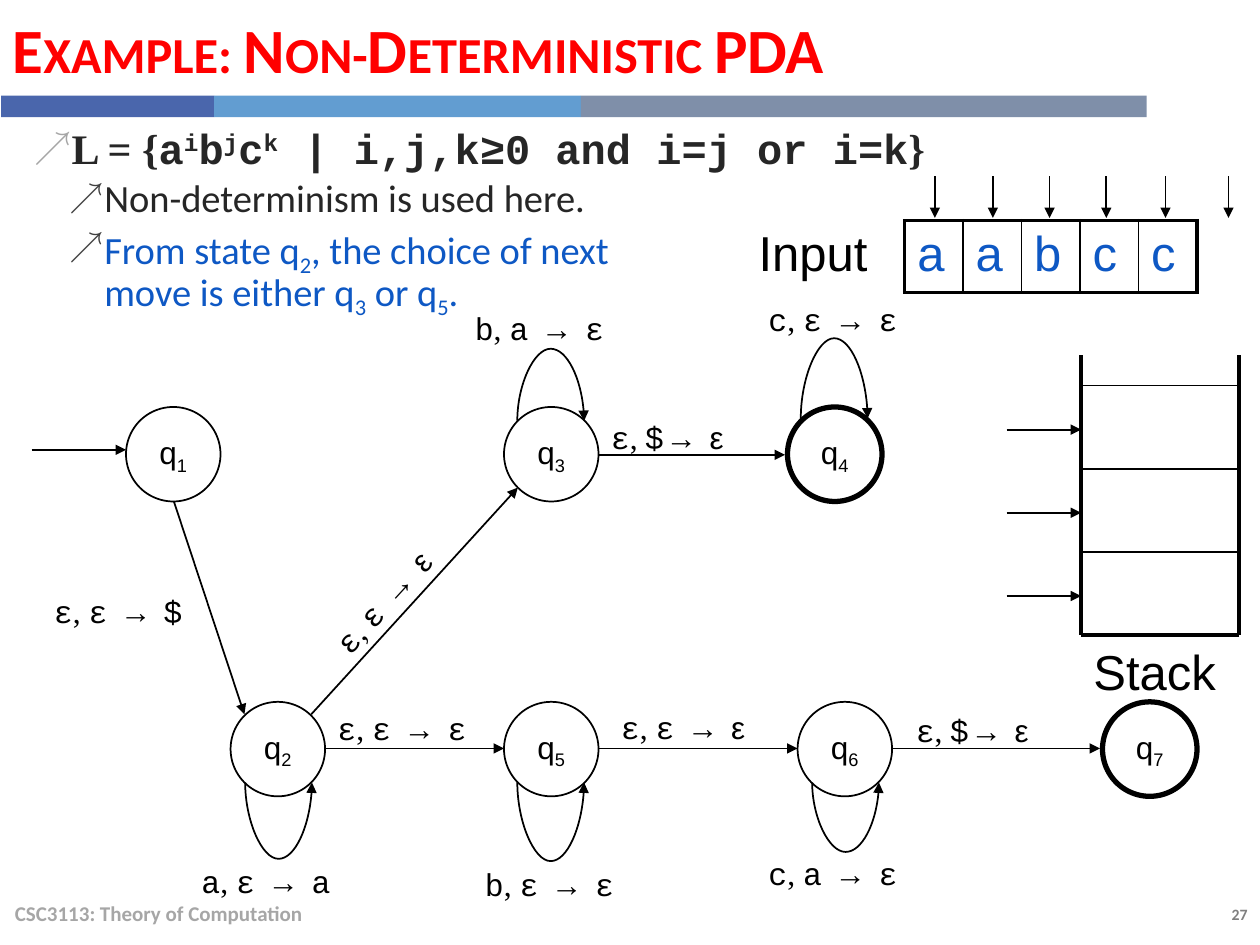
from lxml import etree
from pptx import Presentation
from pptx.dml.color import RGBColor
from pptx.enum.shapes import MSO_CONNECTOR, MSO_SHAPE
from pptx.enum.text import MSO_ANCHOR, PP_ALIGN
from pptx.oxml.ns import qn
from pptx.util import Emu, Inches, Pt

STRAIGHT, CURVE = MSO_CONNECTOR.STRAIGHT, MSO_CONNECTOR.CURVE
RECTANGLE, OVAL = MSO_SHAPE.RECTANGLE, MSO_SHAPE.OVAL
TOP, MIDDLE = MSO_ANCHOR.TOP, MSO_ANCHOR.MIDDLE
LEFT, CENTER, RIGHT = PP_ALIGN.LEFT, PP_ALIGN.CENTER, PP_ALIGN.RIGHT
SANS, SERIF, MONO, BODY = "Arial", "Times New Roman", "Courier New", "Calibri"
COLORS = {
    "ink": "000000", "title": "FF0000", "text": "262626", "accent": "0E58C4",
    "footer": "A6A6A6", "number": "808080", "bullet": "A6A6A6", "sub_bullet": "404040",
    "bar_1": "4A66AC", "bar_2": "629DD1", "bar_3": "7F8FA9",
}
STATE_SIZE = 0.75
STATES = {
    "1": (1, 3.23, 1), "2": (1.83, 5.57, 1), "3": (4, 3.23, 1), "4": (6.25, 3.23, 3),
    "5": (4, 5.57, 1), "6": (6.33, 5.57, 1), "7": (8.75, 5.57, 3),
}
EDGES = [
    (0.25, 3.57, 1, 3.57), (1.38, 3.98, 1.94, 5.67), (2.47, 5.67, 4.11, 3.87),
    (2.58, 5.94, 4, 5.94), (4.75, 5.94, 6.33, 5.94), (7.08, 5.94, 8.73, 5.94),
    (4.75, 3.61, 6.23, 3.61),
]
LOOPS = [
    (4.37, 3.34, -0.63), (6.62, 3.32, -0.7), (2.21, 6.21, 0.67),
    (4.37, 6.21, 0.69), (6.71, 6.21, 0.61),
]
PUSH_DOLLAR = [("ε → ", MONO), ("$", SANS)]
MOVE = [("ε → ", MONO), ("ε", SANS)]
POP_DOLLAR = [("$ ", SANS), ("→ ", MONO), ("ε", SANS)]
LABELS = [
    (0.33, 4.65, 0, "ε", PUSH_DOLLAR), (2.41, 4.49, 312.6, "ε", MOVE),
    (2.58, 5.58, 0, "ε", [("ε → ε", MONO)]), (4.83, 5.57, 0, "ε", MOVE),
    (7.17, 5.59, 0, "ε", POP_DOLLAR), (4.75, 3.27, 0, "ε", POP_DOLLAR),
    (1.5, 6.79, 0, "a", [("ε → a", MONO)]), (3.75, 6.82, 0, "b", [("ε → ε", MONO)]),
    (6, 6.73, 0, "c", [("a → ε", MONO)]), (3.67, 2.4, 0, "b", [("a → ε", MONO)]),
    (6, 2.33, 0, "c", [("ε → ε", MONO)]),
]


def rgb(name):
    """Return the named colour."""
    return RGBColor.from_string(COLORS[name])


def add_span(para, text, font=SANS, size=18, color="ink", bold=False, **attributes):
    """Add a run; extra attributes go on its run properties."""
    span = para.add_run()
    span.text = text
    for key, value in {"name": font, "size": Pt(size), "bold": bold}.items():
        setattr(span.font, key, value)
    span.font.color.rgb = rgb(color)
    for key, value in attributes.items():
        span.font._element.set(key, str(value))


def add_text(page, left, top, width, height, anchor=TOP, align=LEFT):
    """Add a wrapping text box and return it with its first paragraph."""
    box = page.shapes.add_textbox(Inches(left), Inches(top), Inches(width), Inches(height))
    box.text_frame.word_wrap = True
    box.text_frame.vertical_anchor = anchor
    para = box.text_frame.paragraphs[0]
    para.alignment = align
    return box, para


def add_line(page, x1, y1, x2, y2, width=1, arrow=True, kind=STRAIGHT):
    """Add a black connector without shadow."""
    line = page.shapes.add_connector(kind, Inches(x1), Inches(y1), Inches(x2), Inches(y2))
    line.line.color.rgb = rgb("ink")
    line.line.width = Pt(width)
    if arrow:
        etree.SubElement(line.line._get_or_add_ln(), qn("a:tailEnd"), type="triangle")
    etree.SubElement(line._element.spPr, qn("a:effectLst"))
    return line


def add_header(page):
    """Place the title and the three-part bar under it."""
    title = page.shapes.title
    box = {"left": 0, "top": 0, "width": Inches(9.1), "height": Inches(0.76)}
    for key, value in box.items():
        setattr(title, key, value)
    title.text_frame.vertical_anchor = MIDDLE
    para = title.text_frame.paragraphs[0]
    para.alignment = LEFT
    add_span(para, "Example: Non-Deterministic PDA", BODY, 36, "title", True, cap="small")
    left = 0.01
    for color, width in (("bar_1", 1.69), ("bar_2", 2.91), ("bar_3", 4.49)):
        bar = page.shapes.add_shape(
            RECTANGLE, Inches(left), Inches(0.76), Inches(width), Inches(0.17))
        bar.shadow.inherit = False
        bar.fill.solid()
        bar.fill.fore_color.rgb = rgb(color)
        bar.line.fill.background()
        left += width


def add_footer(page):
    """Place the course name and the page number."""
    _, para = add_text(page, 0.02, 7.05, 6.7, 0.4, MIDDLE)
    add_span(para, "CSC3113: Theory of Computation", BODY, 12, "footer", True)
    _, para = add_text(page, 8.73, 7.13, 1.27, 0.25, align=RIGHT)
    add_span(para, "27", BODY, 9, "number", True)


def format_bullet(para, level, color):
    """Give a paragraph its arrow bullet, indent and spacing."""
    para.level = level
    para.line_spacing = 0.8
    para.space_before = Pt(6)
    props = para._p.get_or_add_pPr()
    props.set("marL", str(Inches(0.28 * (level + 1))))
    props.set("indent", str(Inches(-0.28)))
    bullet_color = etree.SubElement(props, qn("a:buClr"))
    etree.SubElement(bullet_color, qn("a:srgbClr"), val=COLORS[color])
    etree.SubElement(props, qn("a:buSzPct"), val="90000")
    etree.SubElement(props, qn("a:buFont"), typeface=SERIF)
    etree.SubElement(props, qn("a:buChar"), char="↗")


def add_language(page, left, top, width, height):
    """Write the language definition and its two remarks."""
    box, para = add_text(page, left, top, width, height)
    format_bullet(para, 0, "bullet")
    formula = {"size": 24, "color": "text", "bold": True}
    add_span(para, "L = {", SERIF, **formula)
    for letter, power in ("ai", "bj", "ck"):
        add_span(para, letter, MONO, **formula)
        add_span(para, power, MONO, **formula, baseline=30000)
    add_span(para, " | i,j,k≥0 and i=j or i=k", MONO, **formula)
    add_span(para, "}", SERIF, **formula)
    para = box.text_frame.add_paragraph()
    format_bullet(para, 1, "sub_bullet")
    add_span(para, "Non-determinism is used here.", BODY, 22, "text")
    para = box.text_frame.add_paragraph()
    format_bullet(para, 1, "sub_bullet")
    remark = {"font": BODY, "size": 22, "color": "accent"}
    add_span(para, "From state q", **remark)
    add_span(para, "2", **remark, baseline=-25000)
    add_span(para, ", the choice of next ", **remark)
    para.add_line_break()
    for text, index in (("move is either q", "3"), (" or q", "5")):
        add_span(para, text, **remark)
        add_span(para, index, **remark, baseline=-25000)
    add_span(para, ".", **remark)


def add_state(page, index, left, top, width):
    """Draw one state; accepting states have a thick line."""
    state = page.shapes.add_shape(
        OVAL, Inches(left), Inches(top), Inches(STATE_SIZE), Inches(STATE_SIZE))
    state.shadow.inherit = False
    state.fill.background()
    state.line.color.rgb = rgb("ink")
    state.line.width = Pt(width)
    state.text_frame.word_wrap = False
    state.text_frame.vertical_anchor = MIDDLE
    para = state.text_frame.paragraphs[0]
    para.alignment = CENTER
    add_span(para, "q")
    add_span(para, index, baseline=-25000)


def add_loop(page, center, level, depth):
    """Draw a self-loop that bulges up for a negative depth, down for a positive one."""
    span, thin = 0.53, Emu(1588)
    loop = add_line(page, center, level - span / 2, center, level + span / 2, kind=CURVE)
    loop.width = thin
    frame = loop._element.spPr.find(qn("a:xfrm"))
    frame.set("rot", "5400000" if depth < 0 else "16200000")
    frame.set("flipV" if depth < 0 else "flipH", "1")
    guides = loop._element.spPr.find(qn("a:prstGeom")).get_or_add_avLst()
    bulge = round(Inches(depth) / thin * 100000)
    etree.SubElement(guides, qn("a:gd"), name="adj1", fmla=f"val {bulge}")


def add_automaton(page):
    """Draw the states, transitions and their labels."""
    for index, place in STATES.items():
        add_state(page, index, *place)
    for edge in EDGES:
        add_line(page, *edge)
    for loop in LOOPS:
        add_loop(page, *loop)
    for left, top, angle, symbol, action in LABELS:
        box, para = add_text(page, left, top, 1.42, 0.4)
        box.rotation = angle
        for text, font in [(symbol, MONO), (", ", SERIF)] + action:
            add_span(para, text, font)


def set_border(cell, side, width):
    """Draw one black side of a table cell."""
    line = etree.Element(qn(f"a:ln{side}"), w=str(Pt(width)))
    fill = etree.SubElement(line, qn("a:solidFill"))
    etree.SubElement(fill, qn("a:srgbClr"), val=COLORS["ink"])
    props = cell._tc.get_or_add_tcPr()
    props.insert(len(props) - 1, line)


def add_input(page, left, top, width, height):
    """Place the input tape with its head positions."""
    letters = ["Input", *"aabcc"]
    table = page.shapes.add_table(
        1, len(letters), Inches(left), Inches(top), Inches(width), Inches(height)).table
    table.first_row = table.horz_banding = False
    last = len(letters) - 1
    for column, text in enumerate(letters):
        table.columns[column].width = Inches(0.464 if column else 1.26)
        cell = table.cell(0, column)
        cell.fill.background()
        add_span(cell.text_frame.paragraphs[0], text, SANS, 28, "accent" if column else "ink")
        if column:
            set_border(cell, "L", 2.25 if column == 1 else 1)
        set_border(cell, "R", 2.25 if column in (0, last) else 1)
        for side in "TB" if column else "":
            set_border(cell, side, 2.25)
    for x in (7.42, 7.88, 8.33, 8.78, 9.25, 9.75):
        add_line(page, x, top - 0.35, x, top - 0.02)


def add_stack(page, left, top, width, height):
    """Draw the open stack, its pointers and its caption."""
    right, bottom, row = left + width, top + height, 0.66
    for x in (left, right):
        add_line(page, x, top, x, bottom, 2.25, False)
    for step in range(4):
        y = bottom - step * row
        add_line(page, left, y, right, y, 1 if step else 2.25, False)
        if step:
            add_line(page, left - 0.59, y + 0.35, left, y + 0.35)
    _, para = add_text(page, left, bottom, width, 0.66)
    add_span(para, "Stack", SANS, 28)


def main():
    """Build the slide and save it."""
    deck = Presentation()
    deck.slide_width, deck.slide_height = Inches(10), Inches(7.5)
    page = deck.slides.add_slide(deck.slide_layouts[5])
    add_header(page)
    add_footer(page)
    add_language(page, 0.17, 1, 9.67, 1.63)
    add_automaton(page)
    add_input(page, 5.92, 1.75, 3.58, 0.57)
    add_stack(page, 8.58, 2.82, 1.25, 2.22)
    deck.save("out.pptx")


if __name__ == "__main__":
    main()
